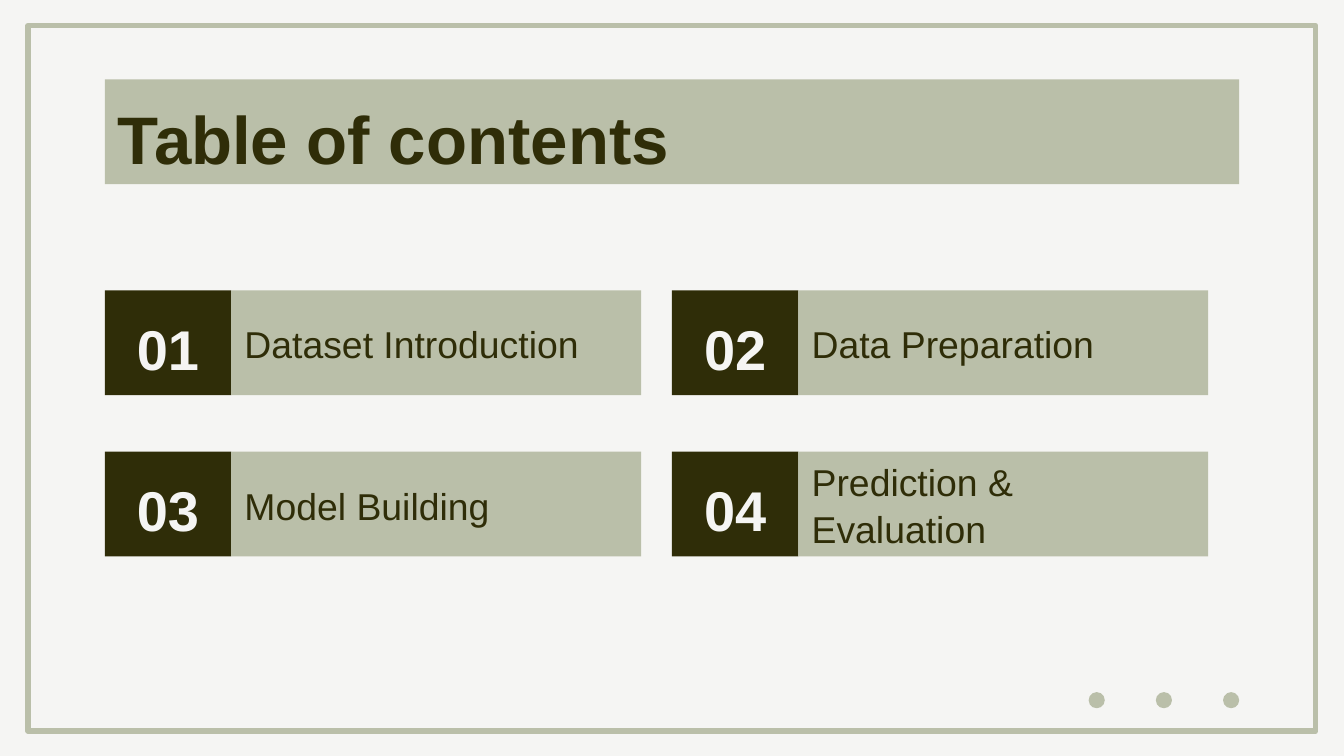
from pptx import Presentation
from pptx import util as u
from pptx.dml.color import RGBColor
from pptx.enum import shapes, text

COLORS = {"paper": "F5F5F3", "sage": "BABFA9", "olive": "2F2D08"}
TOPICS = ["Dataset Introduction", "Data Preparation",
          "Model Building", "Prediction & Evaluation"]

presentation = Presentation()
presentation.slide_width = u.Inches(10)
presentation.slide_height = presentation.slide_width * 9 // 16
slide = presentation.slides.add_slide(presentation.slide_layouts[6])
slide.background.fill.solid()
slide.background.fill.fore_color.rgb = RGBColor.from_string(COLORS["paper"])

# Grid in inches: two columns, two rows, all bars of one height
MARGIN, COLUMN_STEP = 0.78, 4.22
FIRST_ROW, ROW_STEP = 2.16, 1.2
BAR_HEIGHT, NUMBER_WIDTH, TOPIC_WIDTH = 0.78, 0.94, 3.05


def add_plain(kind, left, top, width, height, fill=None):
    """Add a shape without shadow or outline, filled if a colour is given."""
    shape = slide.shapes.add_shape(
        kind, *(u.Inches(length) for length in (left, top, width, height)))
    shape.shadow.inherit = False
    shape.line.fill.background()
    if fill:
        shape.fill.solid()
        shape.fill.fore_color.rgb = RGBColor.from_string(COLORS[fill])
    else:
        shape.fill.background()
    return shape


def add_bar(words, left, top, width, fill, color, size, bold=True,
            align=text.PP_ALIGN.LEFT, spacing=1.15):
    """Add a filled bar with one line of text, centred vertically."""
    bar = add_plain(shapes.MSO_SHAPE.RECTANGLE, left, top, width, BAR_HEIGHT, fill)
    frame = bar.text_frame
    frame.text = words
    frame.word_wrap = True
    frame.vertical_anchor = text.MSO_ANCHOR.MIDDLE
    frame.margin_left = frame.margin_right = u.Inches(0.1)
    frame.margin_top = frame.margin_bottom = u.Inches(0.1)
    paragraph = frame.paragraphs[0]
    paragraph.alignment = align
    paragraph.line_spacing = spacing
    font = paragraph.runs[0].font
    font.name, font.size, font.bold = "Arial", u.Pt(size), bold
    font.color.rgb = RGBColor.from_string(COLORS[color])


# Frame and corner dots
border = add_plain(shapes.MSO_SHAPE.RECTANGLE, 0.21, 0.19, 9.58, 5.25)
border.line.color.rgb = RGBColor.from_string(COLORS["sage"])
border.line.width = u.Pt(3)
for dot in range(3):
    add_plain(shapes.MSO_SHAPE.OVAL, 8.1 + 0.5 * dot, 5.15, 0.12, 0.12, "sage")

# Heading
add_bar("Table of contents", MARGIN, 0.59, 10 - 2 * MARGIN, "sage", "olive", 36)

# Numbered topics
for index, topic in enumerate(TOPICS):
    row, column = divmod(index, 2)
    left = MARGIN + column * COLUMN_STEP
    top = FIRST_ROW + row * ROW_STEP
    add_bar(f"{index + 1:02}", left, top, NUMBER_WIDTH, "olive", "paper", 30,
            align=text.PP_ALIGN.CENTER)
    add_bar(topic, left + NUMBER_WIDTH, top, TOPIC_WIDTH, "sage", "olive", 20,
            bold=False, spacing=1.05)

presentation.save("out.pptx")
